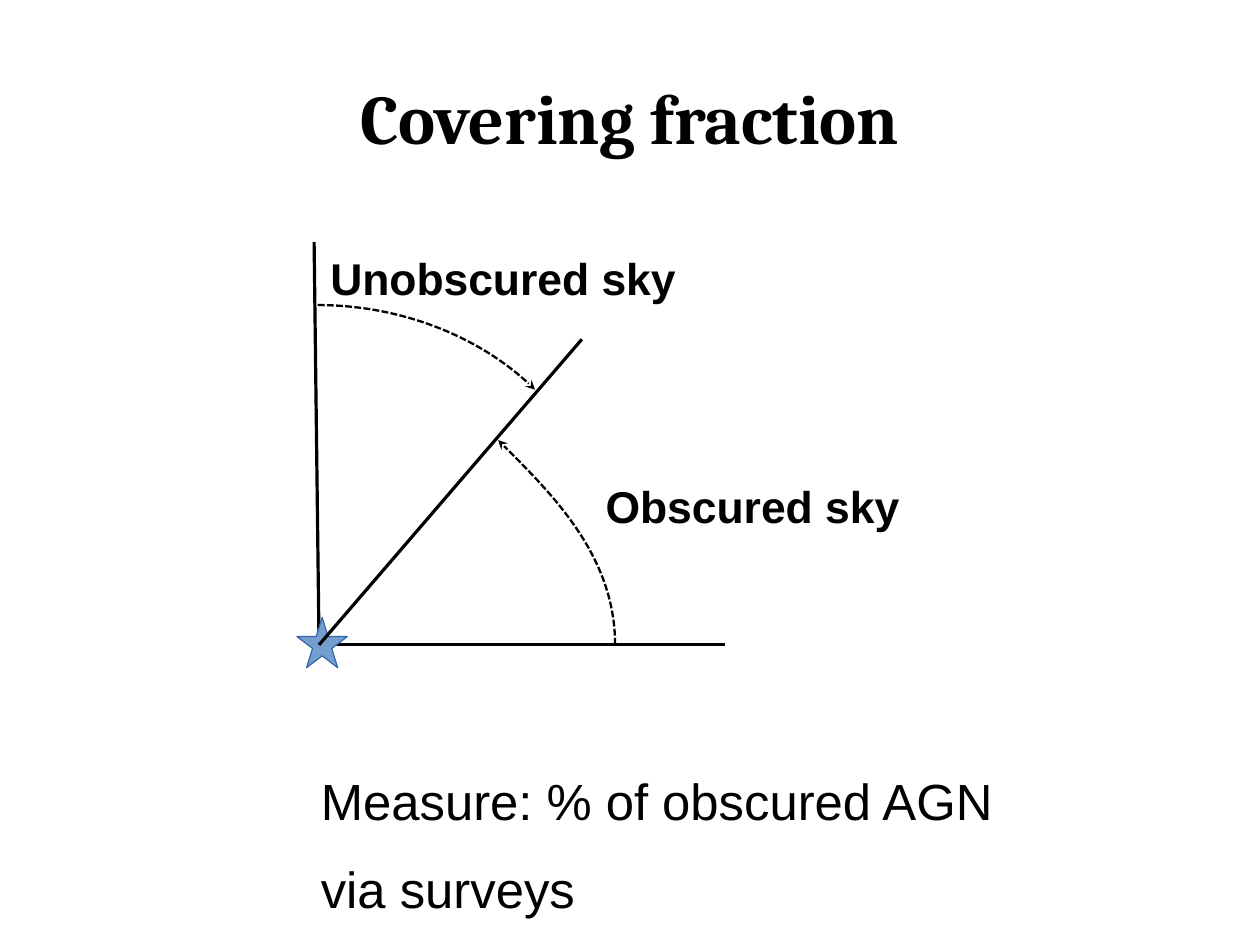
from lxml import etree
from pptx import Presentation, util as u
from pptx.dml.color import RGBColor
from pptx.enum import dml, shapes, text
from pptx.oxml.ns import qn

BLACK = "000000"
APEX = (7.09, 14.33)


def color(value):
    """Turn a hex string into an RGB colour."""
    return RGBColor.from_string(value)


def set_all(target, formats):
    """Set every attribute named in a dict of format values."""
    for name, value in formats.items():
        setattr(target, name, value)


def add_text(slide, box, lines, size, font="Arial", bold=False,
             align=text.PP_ALIGN.LEFT, anchor=text.MSO_ANCHOR.TOP, gap=0, inset=(0, 0)):
    """Add a text box with one paragraph per line."""
    frame = slide.shapes.add_textbox(*map(u.Cm, box)).text_frame
    side, edge = map(u.Cm, inset)
    set_all(frame, {"word_wrap": True, "vertical_anchor": anchor,
                    "margin_left": side, "margin_right": side,
                    "margin_top": edge, "margin_bottom": edge})
    for index, line in enumerate(lines):
        paragraph = frame.add_paragraph() if index else frame.paragraphs[0]
        paragraph.text = line
        paragraph.alignment = align
        if index:
            paragraph.space_before = u.Pt(gap)
        set_all(paragraph.font, {"name": font, "size": u.Pt(size), "bold": bold})
        paragraph.font.color.rgb = color(BLACK)


def add_sky_label(slide, box, label):
    """Add a bold name for a part of the sky."""
    add_text(slide, box, [label], 28, bold=True, inset=(0.25, 0.13))


def add_ray(slide, end):
    """Draw a hairline from the apex to an end point."""
    ray = slide.shapes.add_connector(
        shapes.MSO_CONNECTOR.STRAIGHT, *map(u.Cm, APEX + end))
    ray.line.color.rgb = color(BLACK)
    ray.line.width = u.Pt(0)
    etree.SubElement(ray._element.spPr, qn("a:effectLst"))


def add_source(slide, box):
    """Draw the star at the apex."""
    star = slide.shapes.add_shape(shapes.MSO_SHAPE.STAR_5_POINT, *map(u.Cm, box))
    star.shadow.inherit = False
    star.fill.solid()
    star.fill.fore_color.rgb = color("729FCF")
    star.line.color.rgb = color("3465A4")
    star.line.width = u.Pt(0)


def add_arc(slide, points):
    """Draw a dashed Bezier arrow through a start, two controls and an end."""
    start, *rest = [tuple(map(u.Cm, point)) for point in points]
    builder = slide.shapes.build_freeform(*start)
    builder.add_line_segments(rest, close=False)
    arc = builder.convert_to_shape()
    outline = arc._element.spPr.find(".//" + qn("a:path"))
    curve = etree.SubElement(outline, qn("a:cubicBezTo"))
    for segment in outline.findall(qn("a:lnTo")):
        curve.append(segment[0])
        outline.remove(segment)
    arc.shadow.inherit = False
    arc.fill.background()
    arc.line.color.rgb = color(BLACK)
    set_all(arc.line, {"width": u.Pt(1.45), "dash_style": dml.MSO_LINE.SQUARE_DOT})
    etree.SubElement(arc.line._get_or_add_ln(), qn("a:tailEnd"), type="stealth")


def main():
    """Build the covering fraction slide."""
    deck = Presentation()
    set_all(deck, {"slide_width": u.Cm(28), "slide_height": u.Cm(21)})
    slide = deck.slides.add_slide(deck.slide_layouts[6])

    add_text(slide, (1.4, 0.84, 25.2, 3.5), ["Covering fraction"], 44, "Cambria", True,
             text.PP_ALIGN.CENTER, text.MSO_ANCHOR.MIDDLE)
    add_text(slide, (7.13, 17.11, 18.87, 3.6),
             ["Measure: % of obscured AGN", "via surveys"], 32, gap=16.7)
    add_sky_label(slide, (13.21, 10.52, 7.11, 1.35), "Obscured sky")
    add_ray(slide, (6.98, 5.38))
    add_ray(slide, (16.1, APEX[1]))
    add_source(slide, (6.6, 13.72, 1.12, 1.12))
    add_ray(slide, (12.93, 7.54))
    add_sky_label(slide, (7.09, 5.46, 10.41, 2.44), "Unobscured sky")
    add_arc(slide, [(7.06, 6.78), (8.92, 6.78), (10.77, 7.54), (11.89, 8.66)])
    add_arc(slide, [(13.67, APEX[1]), (13.67, 12.37), (12.19, 10.9), (11.07, 9.78)])
    deck.save("out.pptx")


if __name__ == "__main__":
    main()
